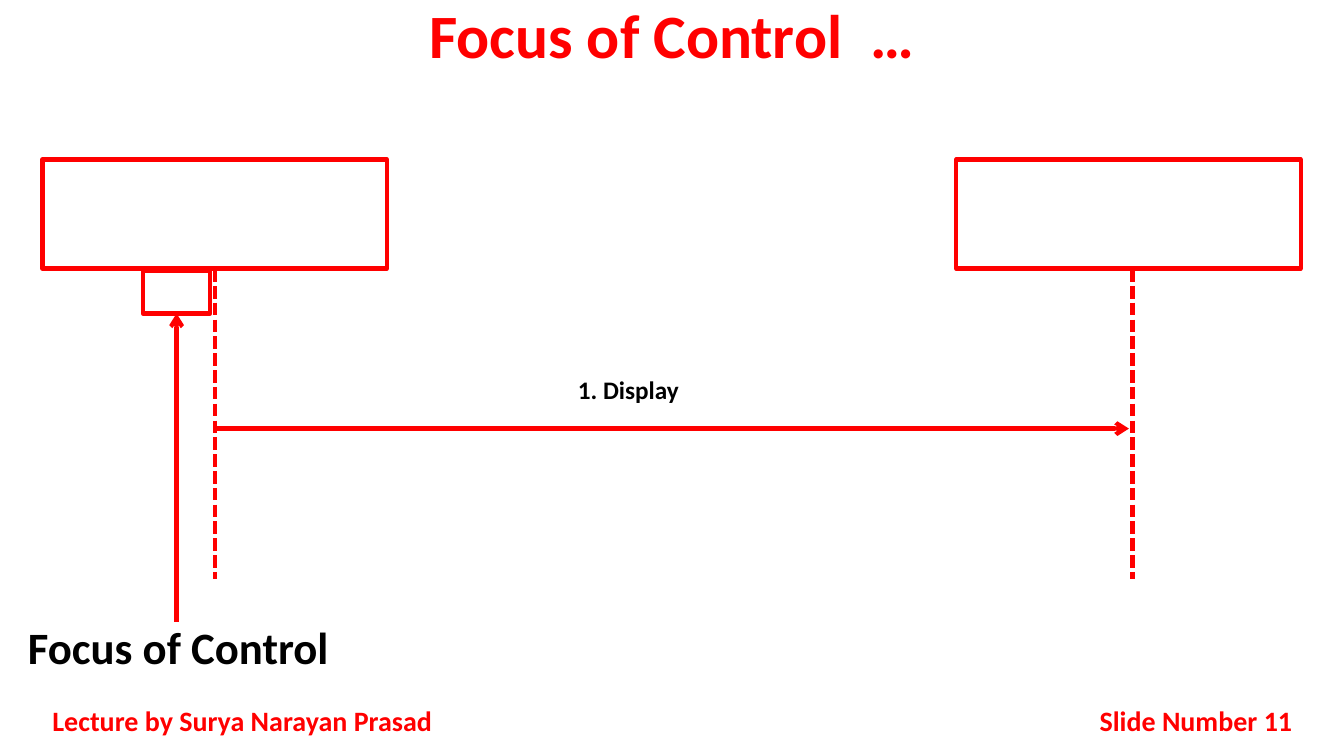
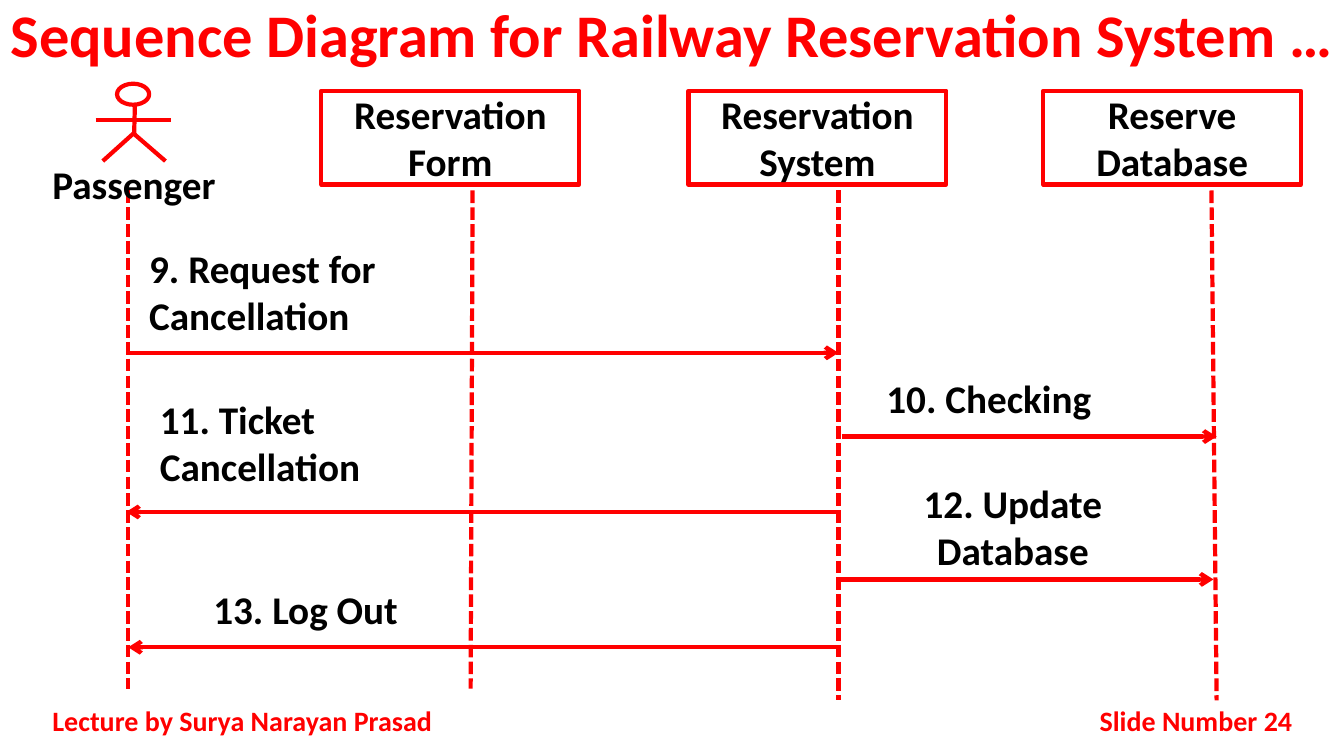
import pptx
import pptx.util
import pptx.dml.color
import pptx.enum.dml
import pptx.enum.shapes
import pptx.enum.text
import pptx.oxml.ns
from lxml import etree

Cm, Pt = pptx.util.Cm, pptx.util.Pt
RGB = pptx.dml.color.RGBColor.from_string
qn = pptx.oxml.ns.qn
SHAPE = pptx.enum.shapes.MSO_SHAPE
ANCHOR = pptx.enum.text.MSO_ANCHOR
ALIGN = pptx.enum.text.PP_ALIGN
LEFT, CENTER, RIGHT = ALIGN.LEFT, ALIGN.CENTER, ALIGN.RIGHT

COLORS = {"accent": "FF0000", "text": "000000", "paper": "FFFFFF"}
FONT = "Calibri"
LINE_WIDTH = Pt(3)

prs = pptx.Presentation()
prs.slide_width, prs.slide_height = Cm(33.87), Cm(19.05)


def add_box(s, box, text="", size=28, color="text", align=CENTER,
            anchor=ANCHOR.TOP, shape=None):
    """Add bold text in a plain text box, or in an outlined preset shape."""
    box = [Cm(v) for v in box]
    if shape is None:
        sp = s.shapes.add_textbox(*box)
    else:
        sp = s.shapes.add_shape(shape, *box)
        sp.shadow.inherit = False
        sp.fill.solid()
        sp.fill.fore_color.rgb = RGB(COLORS["paper"])
        sp.line.color.rgb = RGB(COLORS["accent"])
        sp.line.width = LINE_WIDTH
    tf = sp.text_frame
    tf.word_wrap = True
    tf.vertical_anchor = anchor
    p = tf.paragraphs[0]
    p.text = text
    p.alignment = align
    p.font.name, p.font.size, p.font.bold = FONT, Pt(size), True
    p.font.color.rgb = RGB(COLORS[color])
    return sp


def add_line(s, x1, y1, x2, y2, dashed=False, arrow=False):
    """Add a straight line, with dashes or an arrowhead at its end."""
    cx = s.shapes.add_connector(pptx.enum.shapes.MSO_CONNECTOR.STRAIGHT,
                                Cm(x1), Cm(y1), Cm(x2), Cm(y2))
    cx.line.color.rgb = RGB(COLORS["accent"])
    cx.line.width = LINE_WIDTH
    if dashed:
        cx.line.dash_style = pptx.enum.dml.MSO_LINE.SQUARE_DOT
    sp_pr = cx._element.spPr
    if arrow:
        etree.SubElement(sp_pr.find(qn("a:ln")), qn("a:tailEnd"), type="arrow")
    etree.SubElement(sp_pr, qn("a:effectLst"))


# Title and footer shared by both slides
slides = []
for title, size, number in [
    ("Focus of Control  …", 44, 11),
    ("Sequence Diagram for Railway Reservation System …", 43.2, 24),
]:
    s = prs.slides.add_slide(prs.slide_layouts[6])
    tf = add_box(s, (0, 0, 33.87, 2.11), title, size, "accent").text_frame
    tf.margin_left = tf.margin_right = 0
    tf.paragraphs[0].line_spacing = 0.9
    for left, width, text, align in [
        (1.07, 10.59, "Lecture by Surya Narayan Prasad", LEFT),
        (25.83, 6.99, f"Slide Number {number}", RIGHT),
    ]:
        add_box(s, (left, 17.65, width, 1.02), text, 20, "accent", align,
                ANCHOR.MIDDLE)
    slides.append(s)
focus, railway = slides

# Focus of control: two objects, one message, one activation box
for left, lifeline in [(1.07, 5.41), (24.1, 28.54)]:
    add_box(focus, (left, 4.02, 8.68, 2.75), shape=SHAPE.RECTANGLE)
    add_line(focus, lifeline, 6.78, lifeline, 14.6, dashed=True)
add_line(focus, 5.41, 10.8, 28.45, 10.8, arrow=True)
add_box(focus, (9.75, 9.32, 12.17, 1.07), "1. Display", 18)
add_box(focus, (3.6, 6.83, 1.7, 1.07), shape=SHAPE.RECTANGLE)
add_line(focus, 4.45, 15.67, 4.45, 7.9, arrow=True)
add_box(focus, (0.15, 15.67, 8.69, 1.27), "Focus of Control", 32,
        anchor=ANCHOR.MIDDLE)

# Railway reservation: the passenger as a stick figure
add_box(railway, (2.95, 2.11, 0.81, 0.53), shape=SHAPE.OVAL)
body = (3.4, 2.64, 3.38, 3.38)
left_leg = (3.4, 3.33, 2.59, 4.06)
right_leg = (3.35, 3.35, 4.17, 4.06)
arms = (2.41, 3.02, 4.32, 3.02)
for limb in (body, left_leg, right_leg, arms):
    add_line(railway, *limb)

# Objects and lifelines
for left, name in [(8.1, "Reservation Form"), (17.35, "Reservation System"),
                   (26.29, "Reserve Database")]:
    add_box(railway, (left, 2.29, 6.5, 2.36), name, anchor=ANCHOR.MIDDLE,
            shape=SHAPE.RECTANGLE)
for top_x, bottom_x, bottom in [(3.23, 3.23, 17.35), (11.91, 11.86, 17.35),
                                (21.13, 21.13, 17.65), (30.53, 30.66, 17.65)]:
    add_line(railway, top_x, 4.8, bottom_x, bottom, dashed=True)
add_box(railway, (1.07, 3.91, 5.11, 1.45), "Passenger", align=LEFT)

# Messages: arrow start, end and height, then the label
for x1, x2, y, box, text, align in [
    (3.23, 21.13, 8.89, (3.51, 6.02, 8.28, 2.64),
     "9. Request for Cancellation", LEFT),
    (21.21, 30.66, 11, (21.39, 9.3, 7.06, 1.45), "10. Checking", CENTER),
    (21.08, 3.18, 12.9, (3.78, 9.83, 7.7, 2.64),
     "11. Ticket Cancellation", LEFT),
    (21.13, 30.58, 14.6, (21.51, 11.96, 8.03, 2.64),
     "12. Update Database", CENTER),
    (21.13, 3.23, 16.31, (3.94, 14.63, 7.52, 1.45), "13. Log Out", CENTER),
]:
    add_line(railway, x1, y, x2, y, arrow=True)
    add_box(railway, box, text, align=align)

prs.save("out.pptx")
